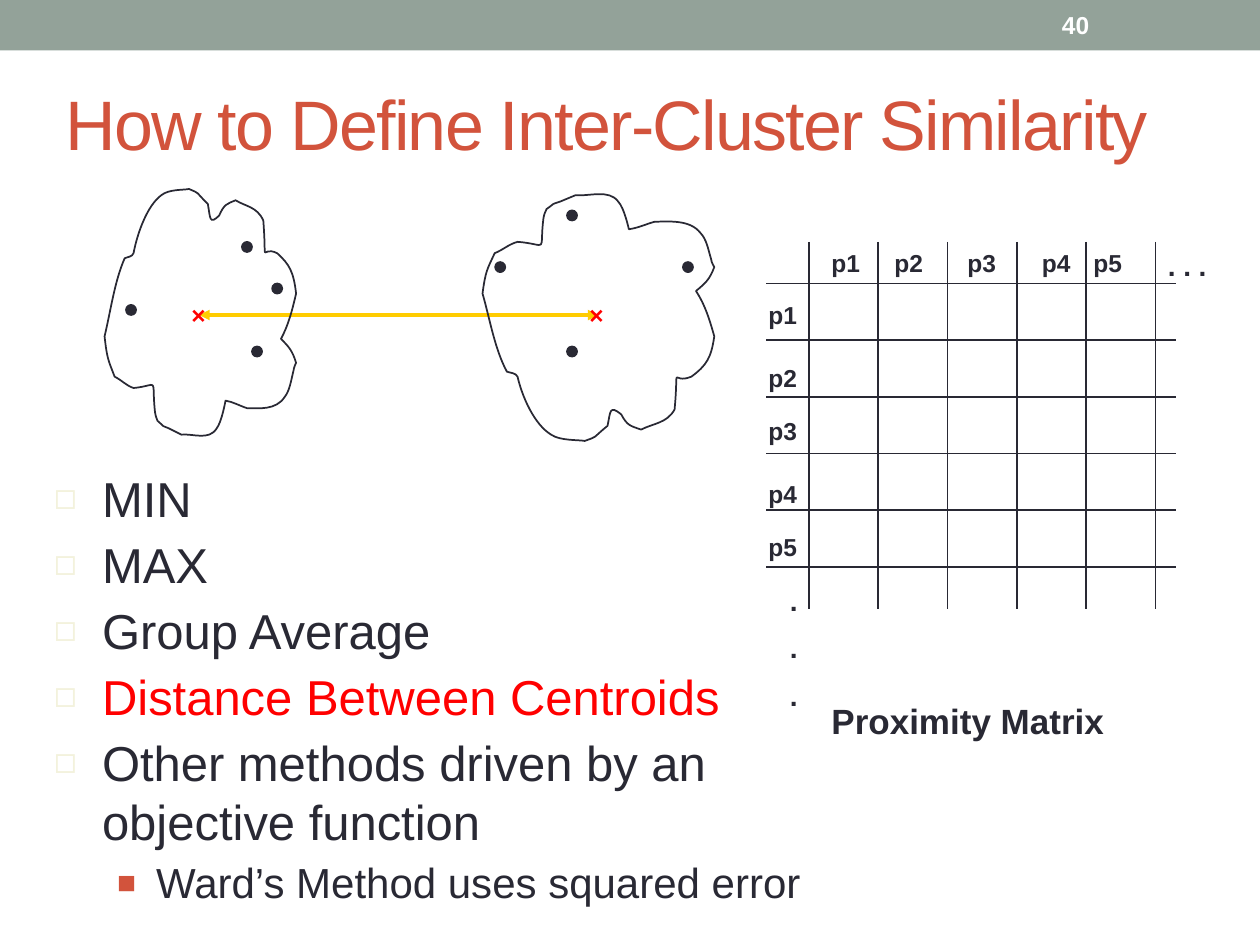
"""Build the slide on inter-cluster similarity with two clusters and a proximity matrix."""
from lxml import etree
from pptx import Presentation
from pptx.dml.color import RGBColor
from pptx.enum.shapes import MSO_CONNECTOR, MSO_SHAPE
from pptx.enum.text import MSO_ANCHOR, MSO_AUTO_SIZE, PP_ALIGN
from pptx.oxml.ns import qn
from pptx.util import Inches, Pt

STRAIGHT, RECT, OVAL = MSO_CONNECTOR.STRAIGHT, MSO_SHAPE.RECTANGLE, MSO_SHAPE.OVAL
TOP, MIDDLE = MSO_ANCHOR.TOP, MSO_ANCHOR.MIDDLE
LEFT, NO_FIT = PP_ALIGN.LEFT, MSO_AUTO_SIZE.NONE
FONT = "Arial"
COLORS = {"band": "93A299", "ink": "292934", "title": "D2533C", "pale": "F3F2DC",
          "red": "FF0000", "arrow": "FFCC00", "white": "FFFFFF"}

TITLE = "How to Define Inter-Cluster Similarity"
METHODS = [("MIN", 0, "ink"), ("MAX", 0, "ink"), ("Group Average", 0, "ink"),
           ("Distance Between Centroids", 0, "red"),
           ("Other methods driven by an objective function", 0, "ink"),
           ("Ward’s Method uses squared error", 1, "ink")]
LEVELS = [{"size": 28, "margin": 0.38, "hang": 0.38, "bullet": "◻", "color": "pale"},
          {"size": 24, "margin": 0.81, "hang": 0.31, "bullet": "■", "color": "title"}]

POINTS = ["p1", "p2", "p3", "p4", "p5"]
COLUMN_LABEL_X = [6.5, 7, 7.58, 8.17, 8.58]
ROW_LABEL_Y = [2.33, 2.83, 3.25, 3.75, 4.17]
GRID = {"left": 6.08, "right": 9.33, "top": 1.92, "bottom": 4.83,
        "x": 6.42, "y": 2.25, "column": 0.55, "row": 0.45}

CLUSTER_POINTS = [(2, 2.75), (1.92, 1.92), (1, 2.42), (2.16, 2.25),
                  (5.42, 2.08), (3.93, 2.08), (4.5, 2.75), (4.5, 1.67)]
CENTROIDS = [(1.42, 2.33), (4.58, 2.33)]
OUTLINE_START = (0.99, 2.05)
OUTLINE_CURVES = [
    (0.91, 2.23, 0.88, 2.46, 0.83, 2.67), (0.85, 2.85, 0.86, 2.86, 0.91, 2.99),
    (0.97, 3.02, 1, 3.06, 1.06, 3.08), (1.27, 3.06, 1.2, 2.98, 1.23, 3.27),
    (1.23, 3.29, 1.24, 3.31, 1.25, 3.34), (1.32, 3.4, 1.27, 3.37, 1.34, 3.4),
    (1.38, 3.42, 1.44, 3.45, 1.44, 3.45), (1.53, 3.44, 1.66, 3.5, 1.72, 3.4),
    (1.76, 3.35, 1.79, 3.18, 1.79, 3.18), (1.85, 3.19, 1.9, 3.22, 1.96, 3.24),
    (2.05, 3.24, 2.19, 3.26, 2.26, 3.15), (2.3, 3.1, 2.31, 3.02, 2.33, 2.94),
    (2.33, 2.92, 2.35, 2.88, 2.35, 2.88), (2.32, 2.78, 2.29, 2.75, 2.23, 2.69),
    (2.29, 2.58, 2.32, 2.46, 2.35, 2.33), (2.33, 2.16, 2.3, 2.1, 2.2, 2.01),
    (2.06, 1.94, 2.12, 2.15, 2.09, 1.75), (2.04, 1.64, 1.95, 1.64, 1.87, 1.59),
    (1.8, 1.62, 1.78, 1.62, 1.74, 1.71), (1.66, 1.79, 1.67, 1.73, 1.65, 1.62),
    (1.54, 1.51, 1.59, 1.54, 1.5, 1.5), (1.46, 1.51, 1.34, 1.5, 1.28, 1.55),
    (1.17, 1.63, 1.09, 1.85, 1.06, 2.01), (1.05, 2.04, 1.01, 2.04, 0.99, 2.05)]


def rgb(name):
    return RGBColor.from_string(COLORS[name])


def style(paragraph, size, color, bold=False):
    for run in paragraph.runs:
        run.font.name, run.font.size, run.font.bold = FONT, Pt(size), bold
        run.font.color.rgb = rgb(color)


def place(shape, *box):
    shape.left, shape.top, shape.width, shape.height = map(Inches, box)


def add_label(slide, text, box, size=14, color="ink", anchor=TOP):
    frame = slide.shapes.add_textbox(*map(Inches, box)).text_frame
    frame.word_wrap, frame.vertical_anchor = True, anchor
    frame.text = text
    for number, paragraph in enumerate(frame.paragraphs):
        style(paragraph, size, color, True)
        if number:
            paragraph.space_before = Pt(8)


def add_line(slide, start, end, color="ink", width=1, arrows=False):
    line = slide.shapes.add_connector(STRAIGHT, *map(Inches, start + end))
    line.line.color.rgb, line.line.width = rgb(color), Pt(width)
    if arrows:
        for end_tag in ("a:headEnd", "a:tailEnd"):
            etree.SubElement(line.line._get_or_add_ln(), qn(end_tag), type="triangle")
    etree.SubElement(line._element.spPr, qn("a:effectLst"))


def add_solid(slide, kind, box, color, outlined=False):
    shape = slide.shapes.add_shape(kind, *map(Inches, box))
    shape.shadow.inherit = False
    shape.fill.solid()
    shape.fill.fore_color.rgb = rgb(color)
    if outlined:
        shape.line.color.rgb, shape.line.width = rgb(color), Pt(1)
    else:
        shape.line.fill.background()


def add_cluster(slide, points):
    corners = [(Inches(x), Inches(y)) for x, y in points]
    builder = slide.shapes.build_freeform(*corners[0])
    builder.add_line_segments(corners[1:], close=True)
    cluster = builder.convert_to_shape()
    segments = list(cluster._element.iter(qn("a:lnTo")))
    for first in range(0, len(segments), 3):
        curve = etree.Element(qn("a:cubicBezTo"))
        segments[first].addprevious(curve)
        for segment in segments[first:first + 3]:
            curve.append(segment[0])
            segment.getparent().remove(segment)
    cluster.shadow.inherit = False
    cluster.fill.background()
    cluster.line.color.rgb, cluster.line.width = rgb("ink"), Pt(1)


def fill_title(title):
    place(title, 0.42, 0.67, 9.06, 0.6)
    frame = title.text_frame
    frame.text, frame.auto_size, frame.vertical_anchor = TITLE, NO_FIT, MIDDLE
    heading = frame.paragraphs[0]
    heading.alignment = LEFT
    style(heading, 40, "title")
    heading.runs[0].font._element.set("spc", "-100")


def fill_methods(body):
    place(body, 0.33, 3.67, 6.33, 3.42)
    frame = body.text_frame
    frame.text = "\n".join(text for text, _, _ in METHODS)
    frame.auto_size, frame.vertical_anchor = NO_FIT, TOP
    for paragraph, (_, depth, color) in zip(frame.paragraphs, METHODS):
        level = LEVELS[depth]
        paragraph.level = depth
        paragraph.space_before = paragraph.space_after = Pt(2)
        style(paragraph, level["size"], color)
        props = paragraph._p.get_or_add_pPr()
        props.set("marL", str(Inches(level["margin"])))
        props.set("indent", str(-Inches(level["hang"])))
        bullet_color = etree.SubElement(props, qn("a:buClr"))
        etree.SubElement(bullet_color, qn("a:srgbClr"), val=COLORS[level["color"]])
        etree.SubElement(props, qn("a:buSzPct"), val="75000")
        etree.SubElement(props, qn("a:buFont"), typeface=FONT)
        etree.SubElement(props, qn("a:buChar"), char=level["bullet"])


def add_matrix(slide):
    for index in range(len(POINTS) + 1):
        x = GRID["x"] + index * GRID["column"]
        y = GRID["y"] + index * GRID["row"]
        add_line(slide, (x, GRID["top"]), (x, GRID["bottom"]))
        add_line(slide, (GRID["left"], y), (GRID["right"], y))
    for point, x, y in zip(POINTS, COLUMN_LABEL_X, ROW_LABEL_Y):
        add_label(slide, point, (x, GRID["top"], 0.58, 0.33))
        add_label(slide, point, (6, y, 0.58, 0.33))
    add_label(slide, ". . .", (9.17, GRID["top"], 0.58, 0.37), 16)
    add_label(slide, ".\n.\n.", (6.17, 4.58, 0.58, 1.17), 16)
    add_label(slide, "Proximity Matrix", (6.5, 5.5, 2.75, 0.43), 20)


def main():
    deck = Presentation()
    deck.slide_width, deck.slide_height = Inches(10), Inches(7.5)
    slide = deck.slides.add_slide(deck.slide_layouts[1])
    fill_title(slide.shapes.title)
    fill_methods(slide.placeholders[1])
    add_solid(slide, RECT, (0, 0, 10, 0.4), "band")
    add_line(slide, (1.58, 2.5), (4.75, 2.5), "arrow", 2, True)
    outline = [OUTLINE_START]
    for curve in OUTLINE_CURVES:
        outline.extend(zip(curve[::2], curve[1::2]))
    add_cluster(slide, outline)
    add_cluster(slide, [(3.83 + 1.21 * (x - 0.83), 5 - y) for x, y in outline])
    add_matrix(slide)
    for x, y in CLUSTER_POINTS:
        add_solid(slide, OVAL, (x, y, 0.08, 0.08), "ink", True)
    for x, y in CENTROIDS:
        add_label(slide, "×", (x, y, 0.25, 0.33), color="red")
    add_label(slide, "40", (8.33, 0.02, 1.17, 0.36), color="white", anchor=MIDDLE)
    deck.save("out.pptx")


if __name__ == "__main__":
    main()
